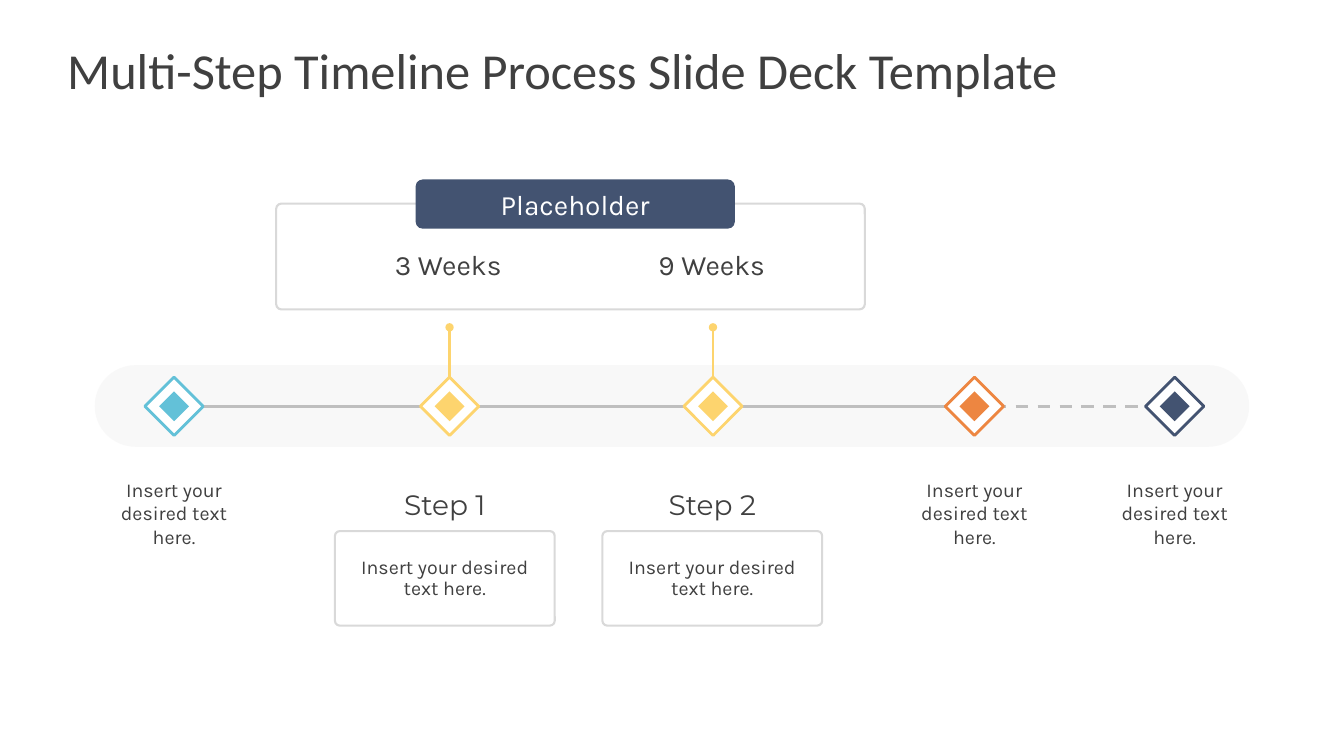
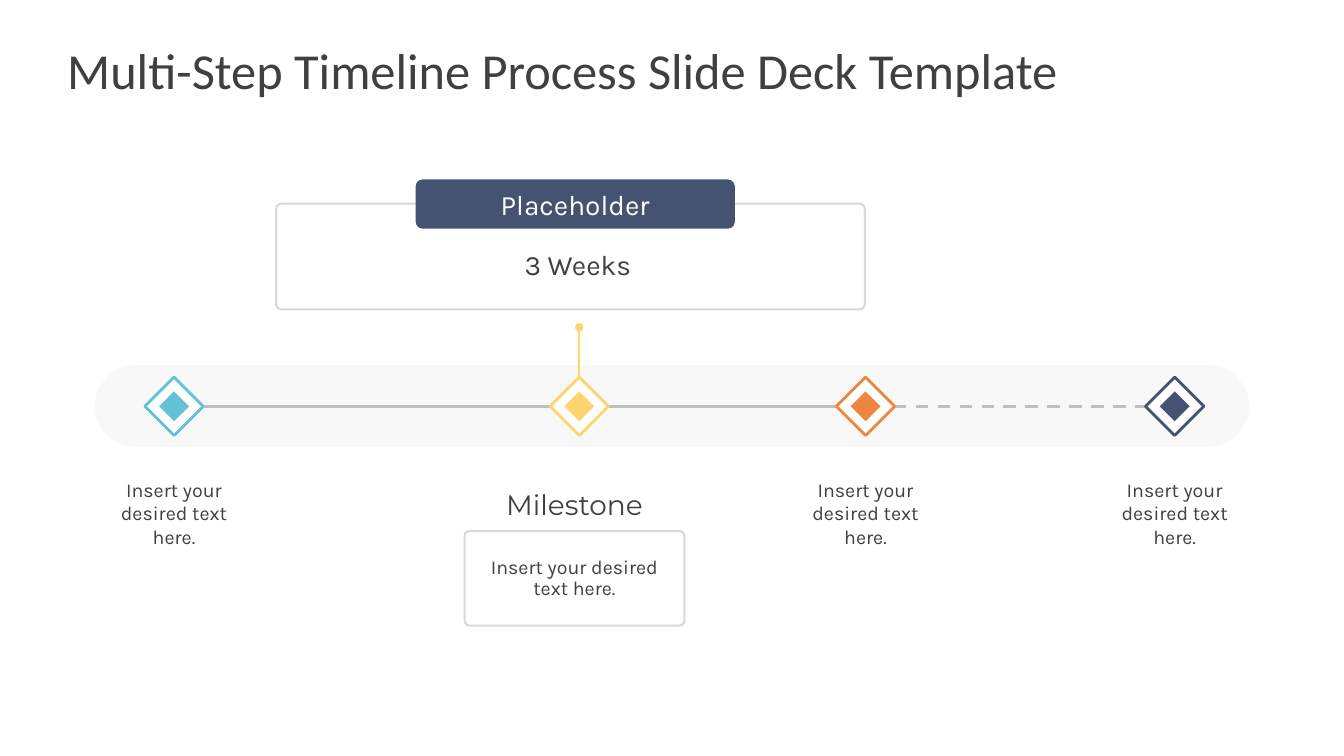
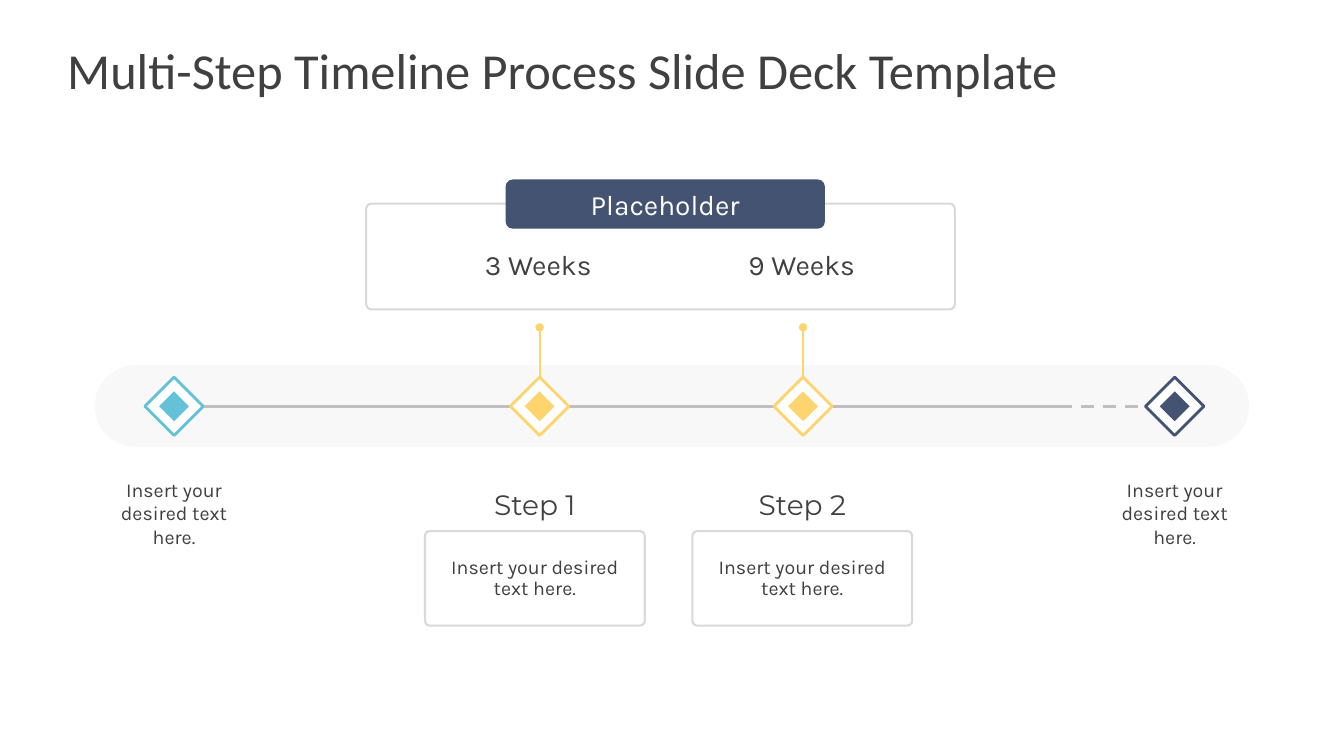
from lxml.etree import SubElement
from pptx import Presentation
from pptx.dml.color import RGBColor
from pptx.enum.dml import MSO_LINE
from pptx.enum.shapes import MSO_CONNECTOR, MSO_SHAPE
from pptx.enum.text import MSO_ANCHOR, MSO_AUTO_SIZE, PP_ALIGN
from pptx.oxml.ns import qn
from pptx.util import Inches, Pt

theme = {
    "colors": {
        "text": "404040", "white": "FFFFFF", "band": "F2F2F2",
        "axis": "BFBFBF", "frame": "D9D9D9", "start": "63C1D8",
        "step": "FDD46E", "review": "ED8641", "finish": "435371",
    },
    "text": {
        "title": {"name": "Calibri", "size": Pt(36), "color": "text"},
        "label": {"name": "Montserrat", "size": Pt(20), "color": "text"},
        "weeks": {"name": "Karla", "size": Pt(20), "color": "text"},
        "tag": {"name": "Karla", "size": Pt(20), "color": "white"},
        "note": {"name": "Karla", "size": Pt(14), "color": "text"},
    },
    "lines": {"axis": 2.25, "marker": 2, "frame": 1.5, "pin": 1.5},
}
colors = {name: RGBColor.from_string(value) for name, value in theme["colors"].items()}
lines = theme["lines"]

presentation = Presentation()
presentation.slide_width = Inches(13.33)
presentation.slide_height = Inches(7.5)
column = presentation.slide_width / 100
row = presentation.slide_height / 100


def add_box(shapes, kind, center, size, fill=None, line=None, width=0, radius=None):
    left = int((center[0] - size[0] / 2) * column)
    top = int((center[1] - size[1] / 2) * row)
    bounds = (left, top, int(size[0] * column), int(size[1] * row))
    if kind is None:
        return shapes.add_textbox(*bounds)
    shape = shapes.add_shape(kind, *bounds)
    shape.shadow.inherit = False
    if radius is not None:
        shape.adjustments[0] = radius
    if fill:
        shape.fill.solid()
        shape.fill.fore_color.rgb = colors[fill]
    else:
        shape.fill.background()
    if line:
        shape.line.color.rgb = colors[line]
        shape.line.width = Pt(width)
    else:
        shape.line.fill.background()
    return shape


def write(shape, text, style, alignment=PP_ALIGN.CENTER, spacing=1.0, side=0, edge=0):
    frame_format = {
        "word_wrap": True, "auto_size": MSO_AUTO_SIZE.NONE,
        "vertical_anchor": MSO_ANCHOR.MIDDLE,
        "margin_left": Inches(side), "margin_right": Inches(side),
        "margin_top": Inches(edge), "margin_bottom": Inches(edge),
    }
    for name, value in frame_format.items():
        setattr(shape.text_frame, name, value)
    paragraph = shape.text_frame.paragraphs[0]
    paragraph.alignment = alignment
    paragraph.line_spacing = spacing
    run = paragraph.add_run()
    run.text = text
    for name, value in theme["text"][style].items():
        if name == "color":
            run.font.color.rgb = colors[value]
        else:
            setattr(run.font, name, value)


title_text = "Multi-Step Timeline Process Slide Deck Template"
note_text = "Insert your desired text here."
axis_row = 53.75
start_column, finish_column = 12.95, 87.4
first_step = {"stop": 33.45, "card": 33.1, "label": "Step 1", "weeks": "3 Weeks"}
second_step = {"stop": 53.05, "card": 53, "label": "Step 2", "weeks": "9 Weeks"}
milestone = {"stop": 43.1, "card": 42.75, "label": "Milestone", "weeks": "3 Weeks"}

timelines = [
    {"steps": [first_step, second_step], "shift": 0, "review": 72.5,
     "solid_end": 72.3, "dash_start": 72.3},
    {"steps": [milestone], "shift": 0, "review": 64.4,
     "solid_end": 66.5, "dash_start": 66.5},
    {"steps": [first_step, second_step], "shift": 6.7, "review": None,
     "solid_end": 79, "dash_start": 72.3},
]

for timeline in timelines:
    slide = presentation.slides.add_slide(presentation.slide_layouts[5])
    shapes = slide.shapes
    shift = timeline["shift"]
    step_columns = [step["stop"] + shift for step in timeline["steps"]]

    title = shapes.title
    title_place = {"left": 5 * column, "top": 4 * row, "width": 90 * column, "height": 10.4 * row}
    for name, value in title_place.items():
        setattr(title, name, int(value))
    write(title, title_text, "title", PP_ALIGN.LEFT, edge=0.07)

    band = add_box(shapes, MSO_SHAPE.ROUNDED_RECTANGLE, (50, axis_row - 0.05), (85.9, 10.8),
                   "band", radius=0.5)
    band_color = next(band._element.spPr.iter(qn("a:srgbClr")))
    SubElement(band_color, qn("a:alpha"), val="50000")

    strokes = [
        ((start_column, axis_row), (timeline["solid_end"], axis_row), "axis", "axis", False, False),
        ((timeline["dash_start"], axis_row), (87.15, axis_row), "axis", "axis", True, False),
    ]
    strokes += [((stop, 50.1), (stop, 43.3), "step", "pin", False, True) for stop in step_columns]
    for begin, end, color, weight, dashed, dotted_end in strokes:
        connector = shapes.add_connector(
            MSO_CONNECTOR.STRAIGHT,
            int(begin[0] * column), int(begin[1] * row), int(end[0] * column), int(end[1] * row))
        connector.line.color.rgb = colors[color]
        connector.line.width = Pt(lines[weight])
        if dashed:
            connector.line.dash_style = MSO_LINE.DASH
        if dotted_end:
            SubElement(connector.line._get_or_add_ln(), qn("a:tailEnd"), type="oval")
        SubElement(connector._element.spPr, qn("a:effectLst"))

    outer_stops = [(start_column, "start"), (finish_column, "finish")]
    if timeline["review"]:
        outer_stops.insert(1, (timeline["review"], "review"))
    for stop, color in outer_stops + [(stop, "step") for stop in step_columns]:
        marker = shapes.add_group_shape().shapes
        for side, fill, line in [(0.41, "white", color), (0.21, color, None)]:
            size = (Inches(side) / column, Inches(side) / row)
            square = add_box(marker, MSO_SHAPE.RECTANGLE, (stop, axis_row), size,
                             fill, line, lines["marker"])
            square.rotation = 45
    for stop, color in outer_stops:
        write(add_box(shapes, None, (stop, 67.85), (10.5, 9.5)), note_text, "note")

    add_box(shapes, MSO_SHAPE.ROUNDED_RECTANGLE, (42.45 + shift, 33.93), (43.8, 14),
            line="frame", width=lines["frame"], radius=0.05)
    tag = add_box(shapes, MSO_SHAPE.ROUNDED_RECTANGLE, (42.8 + shift, 27), (23.75, 6.5),
                  "finish", radius=0.14)
    write(tag, "Placeholder", "tag")

    for step, stop in zip(timeline["steps"], step_columns):
        center = step["card"] + shift
        weeks = add_box(shapes, None, (stop - 0.1, 35.2), (12.1, 4))
        write(weeks, step["weeks"], "weeks", spacing=0.9)
        write(add_box(shapes, None, (center, 66.7), (14, 4.5)), step["label"], "label")
        card = add_box(shapes, MSO_SHAPE.ROUNDED_RECTANGLE, (center, 76.5), (16.35, 12.5),
                       line="frame", width=lines["frame"], radius=0.05)
        write(card, note_text, "note", spacing=0.9, side=0.12)

presentation.save("out.pptx")
